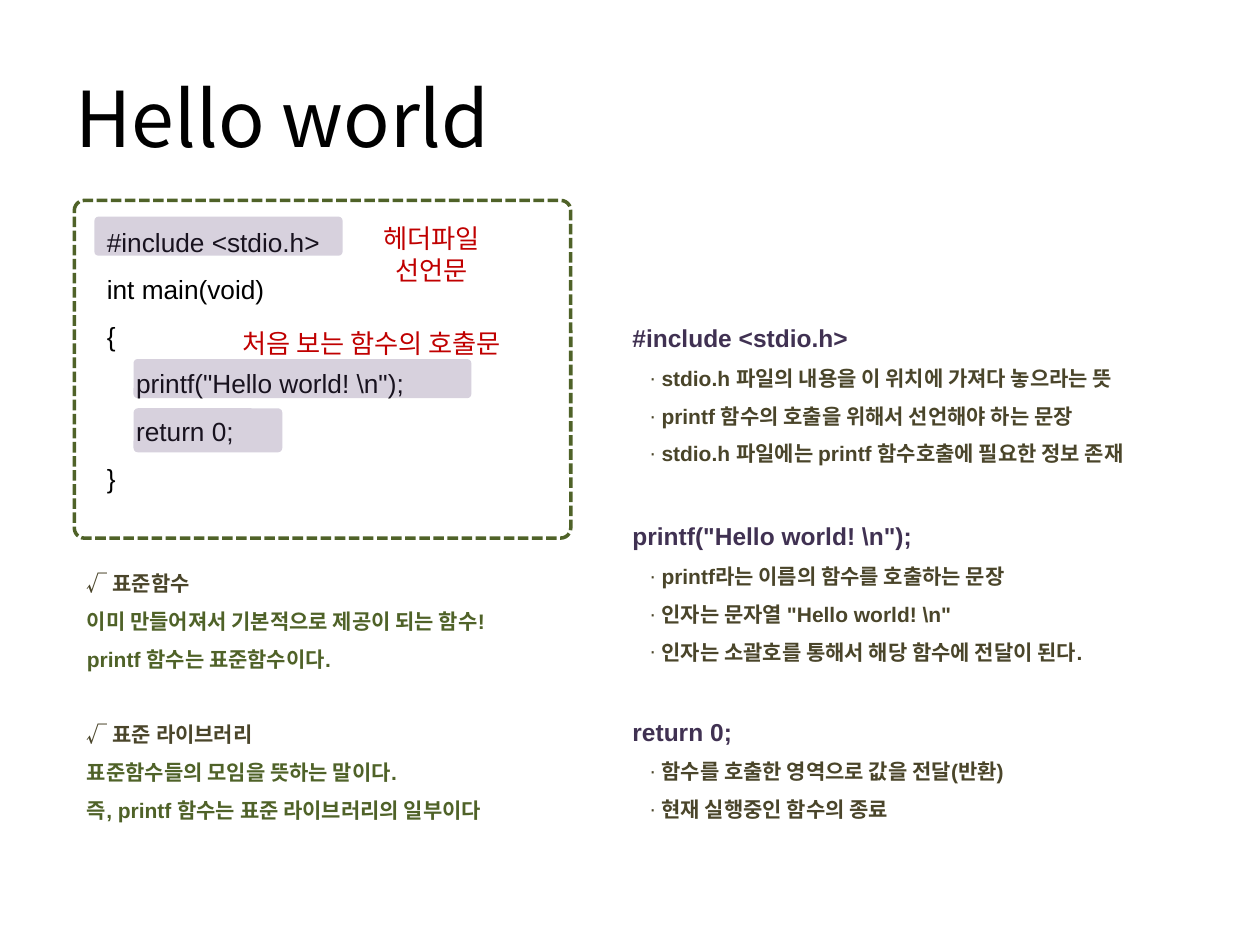
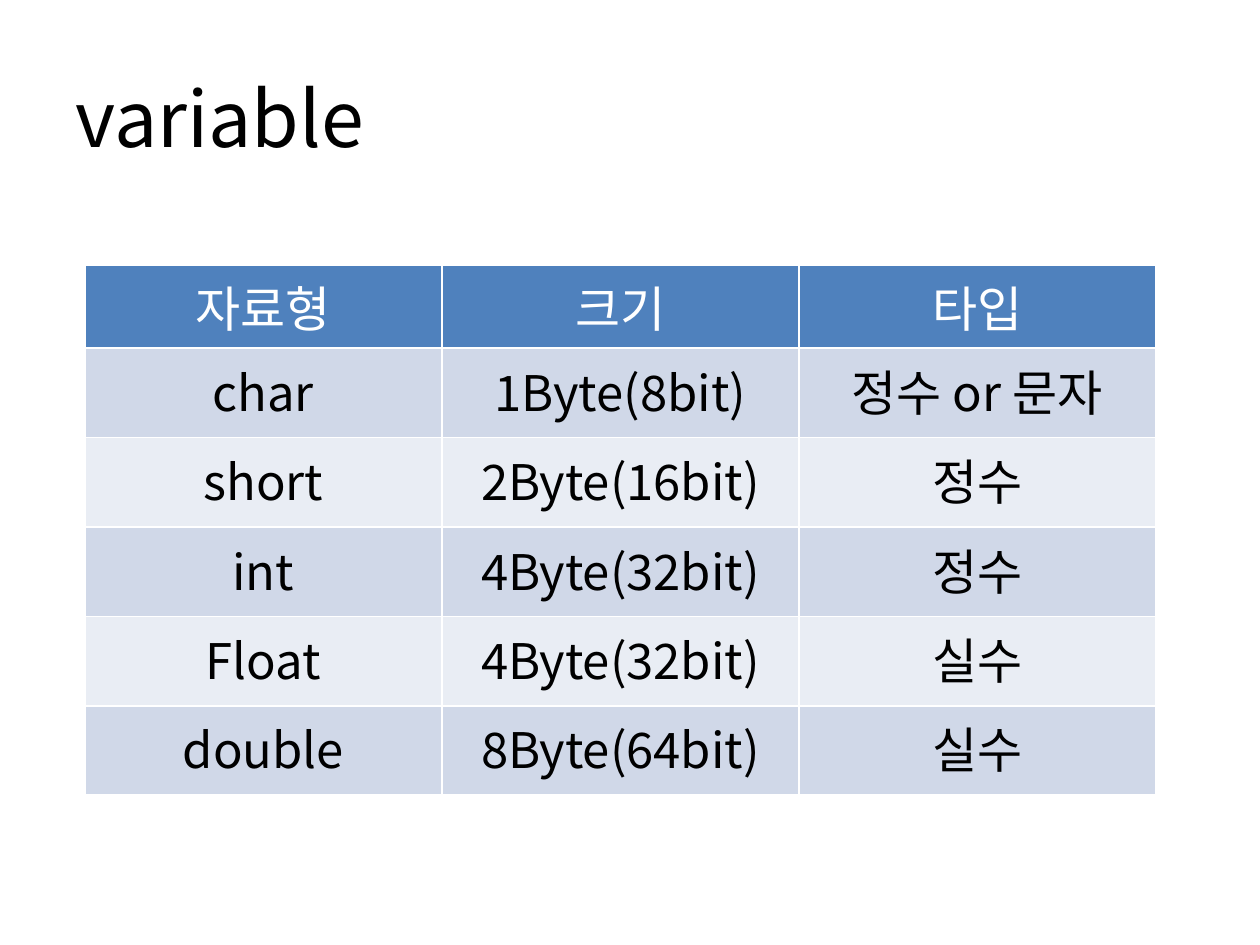
from dataclasses import dataclass

from lxml import etree
from pptx import Presentation
from pptx import util as u
from pptx.dml import color as col
from pptx.enum import dml, shapes, text
from pptx.oxml import ns

Pt = u.Pt
LEFT, MID = text.PP_ALIGN.LEFT, text.PP_ALIGN.CENTER


@dataclass(frozen=True)
class Theme:
    latin: str = "Arial"
    hangul: str = "Noto Sans CJK KR"
    ink: str = "000000"
    white: str = "FFFFFF"
    red: str = "C00000"
    green: str = "4F6228"
    olive: str = "4A452A"
    plum: str = "403152"
    mark: str = "604A7B"
    head: str = "4F81BD"
    bands: tuple = ("D0D8E8", "E9EDF4")
    title: int = 44
    cell: int = 28
    code: int = 15
    lead: int = 14
    note: int = 12


def rgb(code):
    return col.RGBColor.from_string(code)


def node(owner, tag, **attrs):
    return etree.SubElement(owner, ns.qn(tag), attrs)


class Deck:
    def __init__(self, theme):
        self.theme = theme
        self.prs = Presentation()
        self.prs.slide_width, self.prs.slide_height = Pt(720), Pt(540)
        self.slide = None

    def start(self, layout, title):
        self.slide = self.prs.slides.add_slide(self.prs.slide_layouts[layout])
        shape = self.slide.shapes.title
        self.place(shape, 36, 21.6, 648, 90)
        frame = shape.text_frame
        frame.vertical_anchor = text.MSO_ANCHOR.MIDDLE
        par = self.par(frame, LEFT, 1)
        self.run(par, title, self.theme.title, self.theme.ink, self.theme.hangul)

    def place(self, shape, left, top, width, height):
        shape.left, shape.top = Pt(left), Pt(top)
        shape.width, shape.height = Pt(width), Pt(height)

    def par(self, frame, align=LEFT, space=1.5, before=0, indent=0, bullet=None):
        par = frame.paragraphs[0]
        if par.runs:
            par = frame.add_paragraph()
        par.alignment, par.line_spacing = align, space
        par.space_before = Pt(before)
        props = par._p.get_or_add_pPr()
        hang = 6.6 if bullet else 0
        props.set("marL", str(Pt(indent + hang)))
        props.set("indent", str(Pt(-hang)))
        if bullet:
            node(props, "a:buChar", char=bullet)
        else:
            node(props, "a:buNone")
        return par

    def run(self, par, words, size, ink, face=None, bold=False):
        run = par.add_run()
        run.text = words
        font = run.font
        font.size, font.bold = Pt(size), bold
        font.color.rgb = rgb(ink)
        font.name = face or self.theme.latin
        node(run._r.get_or_add_rPr(), "a:ea", typeface=self.theme.hangul)

    def box(self, *area):
        frame = self.slide.shapes.add_textbox(*map(Pt, area)).text_frame
        frame.word_wrap = True
        return frame

    def code(self, lines, *area):
        frame = self.box(*area)
        for indent, line in lines:
            par = self.par(frame, indent=indent)
            self.run(par, line, self.theme.code, self.theme.ink)

    def label(self, words, *area):
        frame = self.box(*area)
        frame.vertical_anchor = text.MSO_ANCHOR.MIDDLE
        par = self.par(frame, MID, 1)
        self.run(par, words, self.theme.code, self.theme.red, self.theme.hangul)

    def body(self, idx, *area):
        shape = self.slide.placeholders[idx]
        self.place(shape, *area)
        frame = shape.text_frame
        frame.vertical_anchor = text.MSO_ANCHOR.TOP
        frame.auto_size = text.MSO_AUTO_SIZE.NONE
        return frame

    def note(self, idx, lead, items, *area):
        frame = self.body(idx, *area)
        par = self.par(frame)
        self.run(par, lead, self.theme.lead, self.theme.plum, bold=True)
        for item in items:
            par = self.par(frame, indent=10, bullet="∙")
            self.run(par, item, self.theme.note, self.theme.olive, bold=True)

    def terms(self, idx, groups, *area):
        frame = self.body(idx, *area)
        for n, (term, lines) in enumerate(groups):
            par = self.par(frame, before=21.5 if n else 0)
            self.run(par, term, self.theme.note, self.theme.olive, bold=True)
            for line in lines:
                par = self.par(frame)
                self.run(par, line, self.theme.note, self.theme.green, bold=True)

    def round(self, adj, *area):
        kind = shapes.MSO_SHAPE.ROUNDED_RECTANGLE
        shape = self.slide.shapes.add_shape(kind, *map(Pt, area))
        shape.adjustments[0] = adj
        shape.shadow.inherit = False
        return shape

    def frame(self, *area):
        shape = self.round(0.03, *area)
        shape.fill.background()
        shape.line.color.rgb = rgb(self.theme.green)
        shape.line.width = Pt(2)
        shape.line.dash_style = dml.MSO_LINE.SQUARE_DOT

    def mark(self, *area):
        shape = self.round(0.1, *area)
        shape.fill.solid()
        shape.fill.fore_color.rgb = rgb(self.theme.mark)
        tint = shape._element.spPr.find(ns.qn("a:solidFill"))[0]
        node(tint, "a:alpha", val="25000")
        shape.line.fill.background()

    def edge(self, cell):
        props = cell._tc.get_or_add_tcPr()
        for side in ("L", "R", "T", "B"):
            line = node(props, "a:ln" + side, w=str(Pt(1)))
            fill = node(line, "a:solidFill")
            node(fill, "a:srgbClr", val=self.theme.white)

    def table(self, rows, left, top, width, head, row):
        count = len(rows[0])
        high = head + row * (len(rows) - 1)
        area = map(Pt, (left, top, width, high))
        grid = self.slide.shapes.add_table(len(rows), count, *area).table
        for r, words in enumerate(rows):
            grid.rows[r].height = Pt(row if r else head)
            back = self.theme.bands[(r - 1) % 2] if r else self.theme.head
            ink = self.theme.ink if r else self.theme.white
            for c, word in enumerate(words):
                cell = grid.cell(r, c)
                self.edge(cell)
                cell.fill.solid()
                cell.fill.fore_color.rgb = rgb(back)
                par = self.par(cell.text_frame, MID, 1)
                self.run(par, word, self.theme.cell, ink, self.theme.hangul)


def hello(deck):
    deck.start(4, "Hello world")
    include, call, back = "#include <stdio.h>", 'printf("Hello world! \\n");', "return 0;"
    deck.code(
        [(0, include), (0, "int main(void)"), (0, "{"),
         (16.7, call), (16.7, back), (0, "}")],
        54, 116.6, 244, 167)
    deck.frame(42.5, 114.5, 283.7, 193)
    deck.mark(54, 123.8, 141.8, 22.3)
    deck.mark(76.3, 205.2, 193, 22.3)
    deck.mark(76.3, 233.3, 85, 25.2)
    deck.label("처음 보는 함수의 호출문", 127.4, 179.3, 170, 33.8)
    deck.label("헤더파일 선언문", 190, 128.2, 113, 33.8)
    deck.terms(
        1,
        [("√ 표준함수",
          ["이미 만들어져서 기본적으로 제공이 되는 함수!",
           "printf 함수는 표준함수이다."]),
         ("√ 표준 라이브러리",
          ["표준함수들의 모임을 뜻하는 말이다.",
           "즉, printf 함수는 표준 라이브러리의 일부이다"])],
        42.5, 315.4, 283.7, 160)
    notes = [
        (include, 172.8,
         ["stdio.h 파일의 내용을 이 위치에 가져다 놓으라는 뜻",
          "printf 함수의 호출을 위해서 선언해야 하는 문장",
          "stdio.h 파일에는 printf 함수호출에 필요한 정보 존재"]),
        (call, 286,
         ["printf라는 이름의 함수를 호출하는 문장",
          '인자는 문자열 "Hello world! \\n"',
          "인자는 소괄호를 통해서 해당 함수에 전달이 된다."]),
        (back, 397.5,
         ["함수를 호출한 영역으로 값을 전달(반환)",
          "현재 실행중인 함수의 종료"]),
    ]
    for idx, (lead, top, items) in enumerate(notes, 2):
        deck.note(idx, lead, items, 354.2, top, 345.6, 32 + 22 * len(items))


def kinds(deck):
    deck.start(5, "variable")
    deck.table(
        [("자료형", "크기", "타입"),
         ("char", "1Byte(8bit)", "정수 or 문자"),
         ("short", "2Byte(16bit)", "정수"),
         ("int", "4Byte(32bit)", "정수"),
         ("Float", "4Byte(32bit)", "실수"),
         ("double", "8Byte(64bit)", "실수")],
        48.5, 151.3, 612, 47, 51.1)


def main():
    deck = Deck(Theme())
    hello(deck)
    kinds(deck)
    deck.prs.save("out.pptx")


if __name__ == "__main__":
    main()
